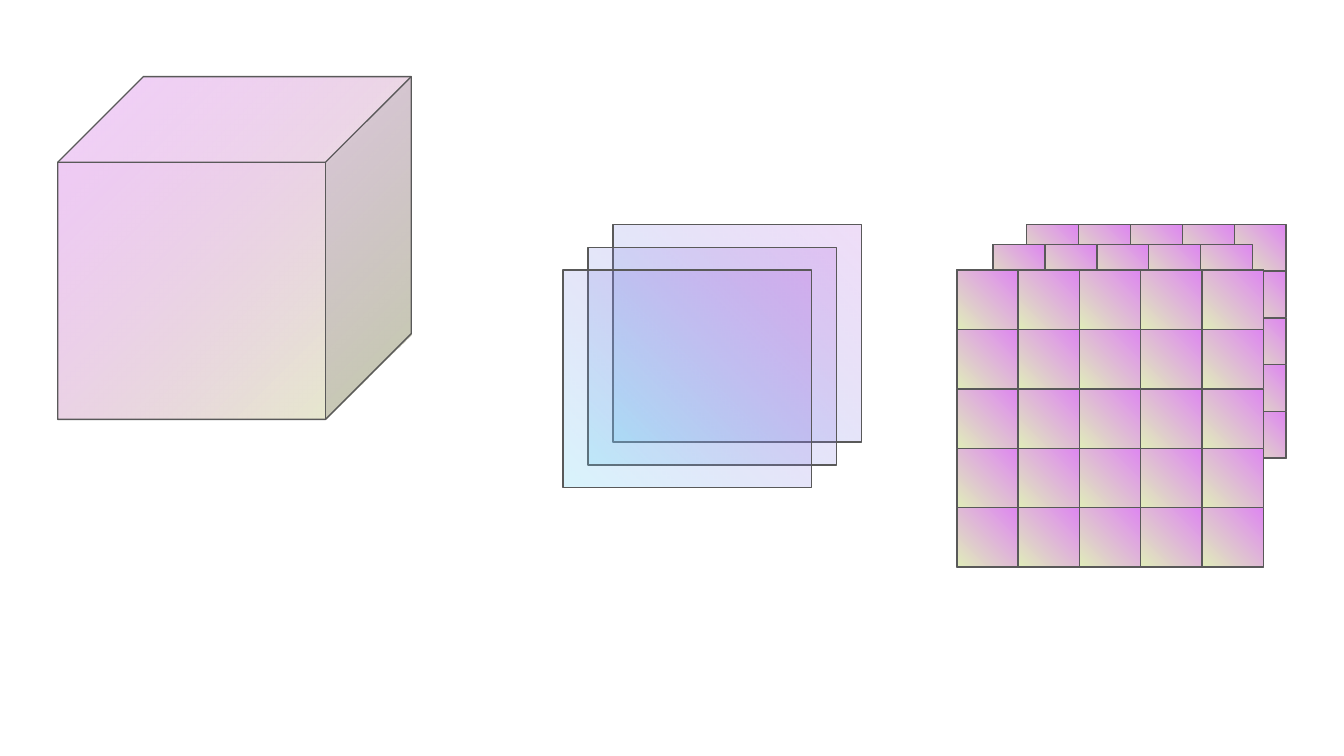
from itertools import product

from lxml.etree import SubElement
from pptx import Presentation
from pptx.dml.color import RGBColor
from pptx.enum.shapes import MSO_SHAPE as Shape
from pptx.oxml.ns import qn
from pptx.util import Inches, Pt

# Content: colours, gradients as (colour, opacity percent), places in inches
COLORS = {
    "outline": "595959",
    "lime": "E0EDBA",
    "orchid": "DE87F1",
    "sky": "69D4F4",
    "violet": "9F39D5",
}
CUBE_FILL = [("lime", 79), ("orchid", 48)]
SHEET_FILL = [("sky", 26), ("violet", 17)]
TILE_FILL = [("lime", 100), ("orchid", 100)]

CUBE = (0.43, 0.57, 2.63, 2.55)
SHEET_SIZE = (1.85, 1.62)
SHEET_BACK = (4.56, 1.67)
SHEET_FRONT = (4.19, 2.01)
SHEET_COUNT = 3
GRIDS = [  # back to front
    (7.64, 1.67, 1.93, 1.74),
    (7.39, 1.82, 1.93, 1.74),
    (7.12, 2.01, 2.28, 2.21),
]
GRID_CELLS = 5


def add_panel(shapes, place, stops, kind=Shape.RECTANGLE, flip=True):
    """Add an outlined shape with a diagonal two-colour gradient."""
    panel = shapes.add_shape(kind, *(Inches(value) for value in place))
    panel.shadow.inherit = False
    panel.line.color.rgb = RGBColor.from_string(COLORS["outline"])
    panel.line.width = Pt(0.75)
    panel.fill.gradient()
    panel.fill.gradient_angle = 135
    properties = panel._element.spPr
    for stop, (name, opacity) in zip(panel.fill.gradient_stops, stops):
        stop.color.rgb = RGBColor.from_string(COLORS[name])
    if flip:
        properties.find(qn("a:xfrm")).set("flipH", "1")
    gradient = properties.find(qn("a:gradFill"))
    for color, (name, opacity) in zip(gradient.iter(qn("a:srgbClr")), stops):
        if opacity < 100:
            SubElement(color, qn("a:alpha")).set("val", str(opacity * 1000))
    return panel


def add_grid(page, place, cells):
    """Add a grouped backing panel covered with equal tiles."""
    left, top, width, height = place
    tile_width, tile_height = width / cells, height / cells
    group = page.shapes.add_group_shape()
    add_panel(group.shapes, place, TILE_FILL)
    for row, column in product(range(cells), repeat=2):
        tile = (left + column * tile_width, top + row * tile_height,
                tile_width, tile_height)
        add_panel(group.shapes, tile, TILE_FILL)


def main():
    # Widescreen page, 16:9
    deck = Presentation()
    deck.slide_width = Inches(10)
    deck.slide_height = deck.slide_width * 9 // 16
    page = deck.slides.add_slide(deck.slide_layouts[6])

    # Cube
    cube = add_panel(page.shapes, CUBE, CUBE_FILL, kind=Shape.CUBE, flip=False)
    cube.adjustments[0] = 0.25

    # Stack of translucent sheets, evenly spaced from back to front
    for index in range(SHEET_COUNT):
        share = index / (SHEET_COUNT - 1)
        corner = [back + share * (front - back)
                  for back, front in zip(SHEET_BACK, SHEET_FRONT)]
        add_panel(page.shapes, (*corner, *SHEET_SIZE), SHEET_FILL)

    # Stack of tiled grids
    for place in GRIDS:
        add_grid(page, place, GRID_CELLS)

    deck.save("out.pptx")


if __name__ == "__main__":
    main()
